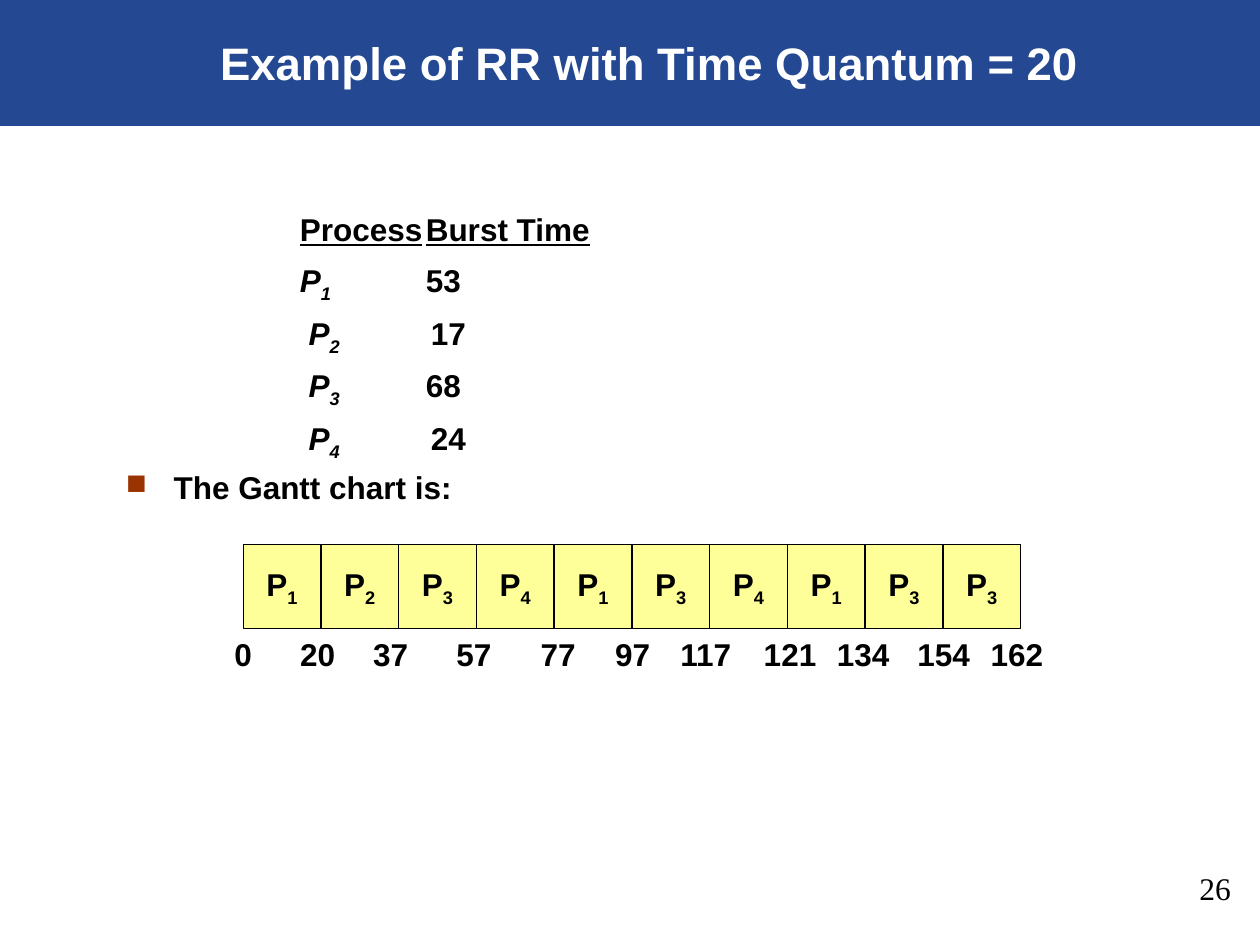
from dataclasses import dataclass

from lxml.etree import SubElement
from pptx import Presentation
from pptx.dml.color import RGBColor
from pptx.enum.shapes import MSO_SHAPE
from pptx.enum.text import MSO_ANCHOR, PP_ALIGN
from pptx.oxml.ns import qn
from pptx.util import Inches, Pt


@dataclass(frozen=True)
class Theme:
    navy: str = "244992"
    yellow: str = "FFFF99"
    rust: str = "993300"
    black: str = "000000"
    white: str = "FFFFFF"
    font: str = "Arial"
    number_font: str = "Times New Roman"
    title: int = 26
    body: int = 18


THEME = Theme()
PROCESSES = [("P", "1", "\t", "53"), (" P", "2", "\t ", "17"),
             (" P", "3", "\t", "68"), (" P", "4", "\t ", "24")]
SCHEDULE = "1234134133"
TIMES = [(0, 1.93), (20, 2.52), (37, 3.1), (57, 3.76), (77, 4.43), (97, 5.02),
         (117, 5.6), (121, 6.27), (134, 6.85), (154, 7.49), (162, 8.07)]


def add_run(p, text, size=THEME.body, color=THEME.black, font=THEME.font,
            bold=True, italic=False, underline=False, sub=False):
    r = p.add_run()
    r.text = text
    r.font.size, r.font.name = Pt(size), font
    r.font.bold, r.font.italic, r.font.underline = bold, italic, underline
    r.font.color.rgb = RGBColor.from_string(color)
    if sub:
        r.font._element.set("baseline", "-25000")


def add_text(s, x, y, w, h, anchor=MSO_ANCHOR.TOP, align=PP_ALIGN.LEFT, wrap=True):
    tf = s.shapes.add_textbox(Inches(x), Inches(y), Inches(w), Inches(h)).text_frame
    tf.word_wrap = wrap
    tf.vertical_anchor = anchor
    tf.paragraphs[0].alignment = align
    return tf


def add_rect(s, x, y, w, h, fill):
    sp = s.shapes.add_shape(MSO_SHAPE.RECTANGLE, Inches(x), Inches(y), Inches(w), Inches(h))
    sp.shadow.inherit = False
    sp.fill.solid()
    sp.fill.fore_color.rgb = RGBColor.from_string(fill)
    sp.line.fill.background()
    return sp


def set_spacing(p):
    p.line_spacing = 0.9
    p.space_before = Pt(7.9)


def add_header(s, x, y, w, h):
    add_rect(s, x, y, w, h, THEME.navy)
    tf = add_text(s, x + 0.75, y + 0.17, w - 1.19, h - 0.41, MSO_ANCHOR.BOTTOM, PP_ALIGN.CENTER)
    add_run(tf.paragraphs[0], "Example of RR with Time Quantum = 20", THEME.title, THEME.white)


def add_process_list(s, x, y, w, h):
    tf = add_text(s, x, y, w, h)
    tf.margin_left = 0
    p = tf.paragraphs[0]
    add_run(p, "Process", underline=True)
    add_run(p, "\t")
    add_run(p, "Burst Time", underline=True)
    for name, index, gap, burst in PROCESSES:
        p = tf.add_paragraph()
        add_run(p, name, italic=True)
        add_run(p, index + gap, italic=True, sub=True)
        add_run(p, burst)
    for p in tf.paragraphs:
        set_spacing(p)
        tabs = SubElement(p._p.get_or_add_pPr(), qn("a:tabLst"))
        SubElement(tabs, qn("a:tab"), pos=str(Inches(1)), algn="l")


def add_caption(s, x, y, w, h):
    p = add_text(s, x, y, w, h).paragraphs[0]
    set_spacing(p)
    pPr = p._p.get_or_add_pPr()
    pPr.set("marL", str(Inches(0.38)))
    pPr.set("indent", str(-Inches(0.38)))
    color = SubElement(pPr, qn("a:buClr"))
    SubElement(color, qn("a:srgbClr"), val=THEME.rust)
    SubElement(pPr, qn("a:buSzPct"), val="90000")
    SubElement(pPr, qn("a:buChar"), char="■")
    add_run(p, "The Gantt chart is:")


def add_gantt(s, x, y, w, h):
    step = w / len(SCHEDULE)
    for i, index in enumerate(SCHEDULE):
        sp = add_rect(s, x + i * step, y, step, h, THEME.yellow)
        sp.line.color.rgb = RGBColor.from_string(THEME.black)
        sp.line.width = Pt(0.75)
        tf = sp.text_frame
        tf.word_wrap = False
        tf.vertical_anchor = MSO_ANCHOR.MIDDLE
        p = tf.paragraphs[0]
        p.alignment = PP_ALIGN.CENTER
        add_run(p, "P")
        add_run(p, index, sub=True)
    for time, center in TIMES:
        label = str(time)
        width = 0.2 + 0.14 * len(label)
        left = x + center - TIMES[0][1] - width / 2
        tf = add_text(s, left, y + h, width, 0.4, MSO_ANCHOR.MIDDLE, PP_ALIGN.CENTER, False)
        add_run(tf.paragraphs[0], label)


def add_page_number(s, x, y, w, h):
    tf = add_text(s, x, y, w, h)
    add_run(tf.paragraphs[0], "26", font=THEME.number_font, bold=False)


def main():
    prs = Presentation()
    prs.slide_width, prs.slide_height = Inches(10), Inches(7.5)
    s = prs.slides.add_slide(prs.slide_layouts[6])
    add_header(s, 0, 0, 10, 1)
    add_process_list(s, 2.38, 1.65, 4, 2.05)
    add_caption(s, 0.9, 3.7, 8.04, 0.4)
    add_gantt(s, 1.93, 4.32, 6.17, 0.67)
    add_page_number(s, 9.42, 6.85, 0.58, 0.4)
    prs.save("out.pptx")


if __name__ == "__main__":
    main()
